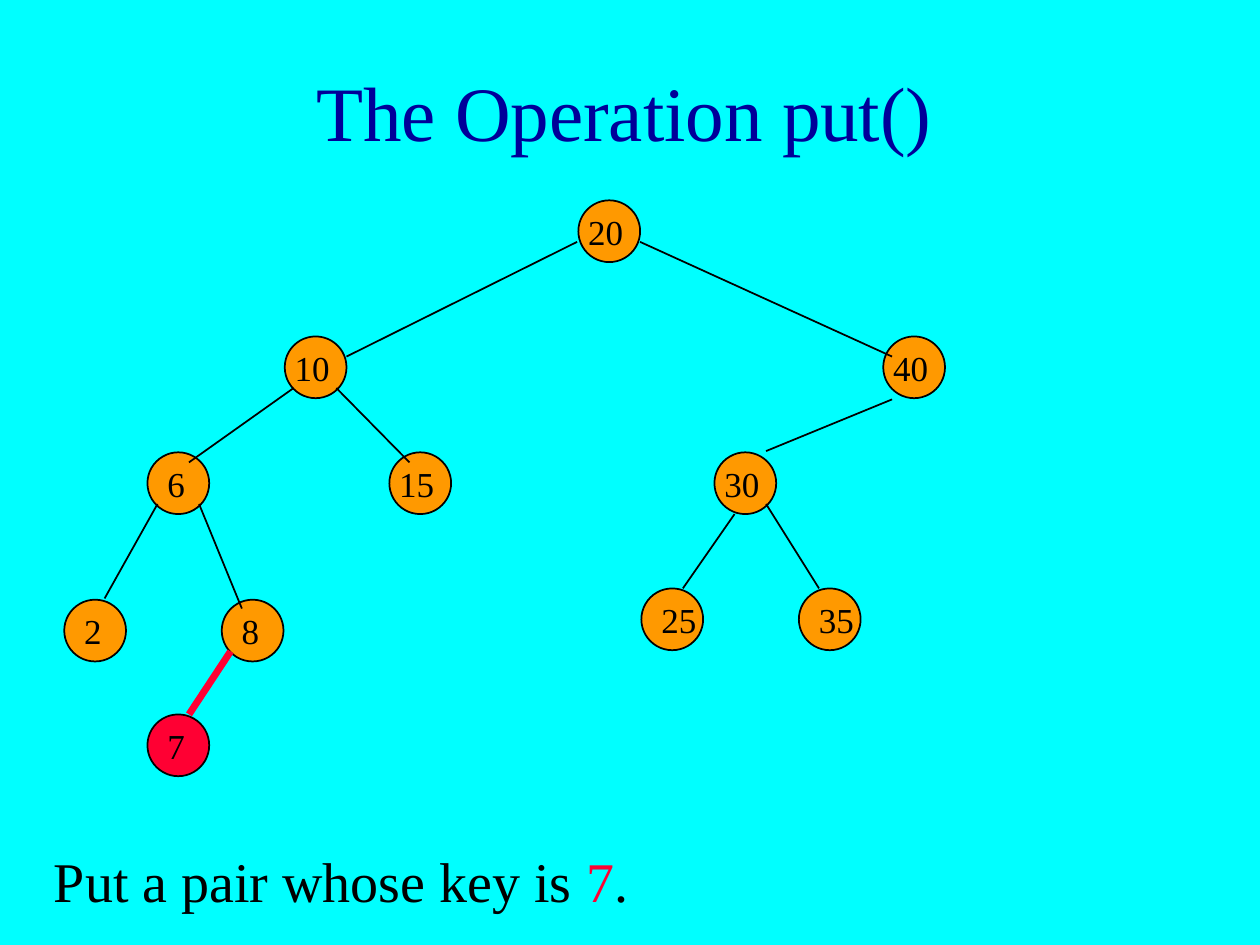
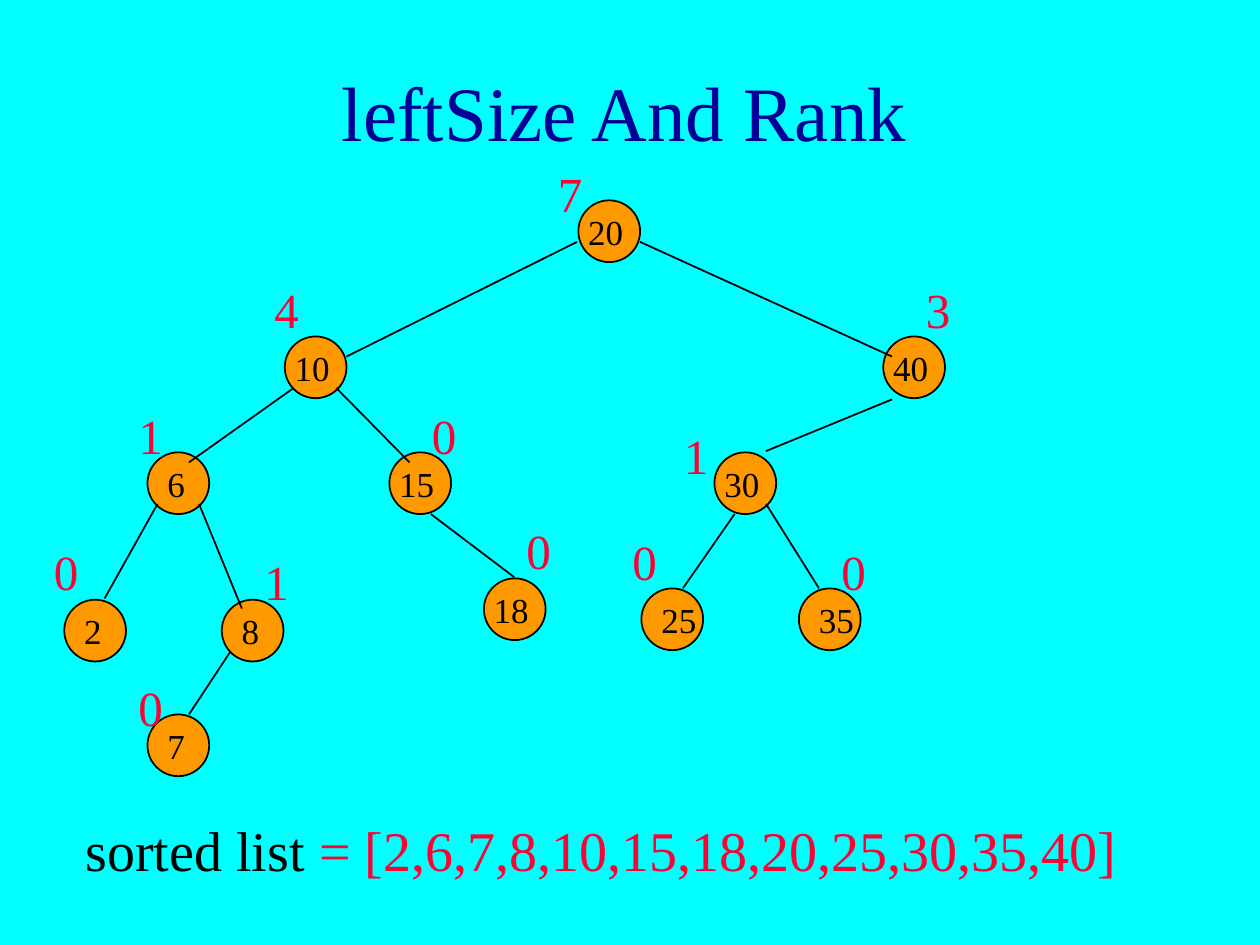
import collections

import pptx
import pptx.dml.color
import pptx.enum.shapes
import pptx.enum.text
import pptx.util
from lxml import etree

Inches, Pt = pptx.util.Inches, pptx.util.Pt
RGBColor = pptx.dml.color.RGBColor
PP_ALIGN = pptx.enum.text.PP_ALIGN
MSO_ANCHOR = pptx.enum.text.MSO_ANCHOR
MSO_AUTO_SIZE = pptx.enum.text.MSO_AUTO_SIZE
MSO_SHAPE = pptx.enum.shapes.MSO_SHAPE
MSO_CONNECTOR = pptx.enum.shapes.MSO_CONNECTOR

CYAN = RGBColor(0x00, 0xFF, 0xFF)
NAVY = RGBColor(0x00, 0x00, 0x99)
ORANGE = RGBColor(0xFF, 0x99, 0x00)
RED = RGBColor(0xFF, 0x00, 0x33)
BLACK = RGBColor(0x00, 0x00, 0x00)
FONT = "Times New Roman"
DIAMETER = 0.49
LABEL_HEIGHT = 0.43
WIDE, NARROW = 0.48, 0.34  # label widths for two digits and for one
LEFT, RIGHT = -0.02, 0.06  # label shifts from the left of the circle

# edge: line from the parent (x1, y1, x2, y2); rank: corner of the leftSize label
Node = collections.namedtuple("Node", "x y shift edge left_size rank")

TREE = {
    20: Node(4.59, 1.59, LEFT, None, 7, (4.33, 1.25)),
    10: Node(2.26, 2.67, LEFT, (4.58, 1.92, 2.75, 2.83), 4, (2.08, 2.17)),
    40: Node(7.01, 2.67, LEFT, (5.08, 1.92, 7.08, 2.83), 3, (7.25, 2.17)),
    6: Node(1.17, 3.59, RIGHT, (2.33, 3.08, 1.5, 3.67), 1, (1, 3.17)),
    15: Node(3.09, 3.59, LEFT, (2.67, 3.08, 3.25, 3.67), 0, (3.33, 3.17)),
    30: Node(5.67, 3.59, LEFT, (7.08, 3.17, 6.08, 3.58), 1, (5.33, 3.33)),
    2: Node(0.51, 4.76, RIGHT, (1.25, 4, 0.83, 4.75), 0, (0.33, 4.25)),
    8: Node(1.76, 4.76, RIGHT, (1.58, 4, 1.92, 4.83), 1, (2, 4.33)),
    25: Node(5.09, 4.67, RIGHT, (5.83, 4.08, 5.42, 4.67), 0, (4.92, 4.17)),
    35: Node(6.34, 4.67, RIGHT, (6.08, 4, 6.5, 4.67), 0, (6.58, 4.25)),
    7: Node(1.17, 5.67, RIGHT, (1.83, 5.17, 1.5, 5.67), 0, (1, 5.33)),
    18: Node(3.84, 4.59, LEFT, (3.42, 4.08, 4.08, 4.58), 0, (4.08, 4.08)),
}


def add_run(p, text, size=20, color=BLACK):
    r = p.add_run()
    r.text = text
    r.font.name = FONT
    r.font.size = Pt(size)
    r.font.color.rgb = color


class Deck:
    """Holds the presentation, its shared style and the current slide."""

    def __init__(self):
        self.prs = pptx.Presentation()
        self.prs.slide_width = Inches(10)
        self.prs.slide_height = Inches(7.5)
        fill = self.prs.slide_master.background.fill
        fill.solid()
        fill.fore_color.rgb = CYAN
        self.s = None

    def new_slide(self, title):
        self.s = self.prs.slides.add_slide(self.prs.slide_layouts[5])
        sp = self.s.shapes.title
        sp.left, sp.top = Inches(0.08), Inches(0.25)
        sp.width, sp.height = Inches(9.75), Inches(1.25)
        tf = sp.text_frame
        tf.vertical_anchor = MSO_ANCHOR.MIDDLE
        tf.auto_size = MSO_AUTO_SIZE.NONE
        p = tf.paragraphs[0]
        p.alignment = PP_ALIGN.CENTER
        add_run(p, title, size=44, color=NAVY)

    def text(self, x, y, w, h, *runs, size=20, wrap=True, before=0):
        """Add a text box; each run is a (text, colour) pair."""
        sp = self.s.shapes.add_textbox(Inches(x), Inches(y), Inches(w), Inches(h))
        tf = sp.text_frame
        tf.word_wrap = wrap
        tf.auto_size = MSO_AUTO_SIZE.SHAPE_TO_FIT_TEXT
        p = tf.paragraphs[0]
        p.space_before = Pt(before)
        for text, color in runs:
            add_run(p, text, size=size, color=color)

    def circle(self, x, y, color):
        sp = self.s.shapes.add_shape(MSO_SHAPE.OVAL, Inches(x), Inches(y),
                                     Inches(DIAMETER), Inches(DIAMETER))
        sp.shadow.inherit = False
        sp.fill.solid()
        sp.fill.fore_color.rgb = color
        sp.line.color.rgb = BLACK
        sp.line.width = Pt(1)

    def edge(self, ends, color=BLACK, width=1):
        line = self.s.shapes.add_connector(MSO_CONNECTOR.STRAIGHT, *map(Inches, ends))
        line.line.color.rgb = color
        line.line.width = Pt(width)
        sp_pr = line._element.spPr
        etree.SubElement(sp_pr, pptx.oxml.ns.qn("a:effectLst"))

    def tree(self, keys, new_key=None):
        """Draw circles, then edges, then keys; new_key stands out in red."""
        for key in keys:
            node = TREE[key]
            self.circle(node.x, node.y, RED if key == new_key else ORANGE)
        for key in keys:
            if key == new_key:
                self.edge(TREE[key].edge, color=RED, width=4)
            elif TREE[key].edge:
                self.edge(TREE[key].edge)
        for key in keys:
            node = TREE[key]
            self.text(node.x + node.shift, node.y + 0.03,
                      WIDE if key > 9 else NARROW, LABEL_HEIGHT,
                      (str(key), BLACK), wrap=False)

    def left_sizes(self, keys):
        for key in keys:
            self.text(*TREE[key].rank, 0.25, 0.57, (str(TREE[key].left_size), RED),
                      size=28, before=17.5)

    def caption(self, x, y, w, *runs):
        self.text(x, y, w, 0.63, *runs, size=32, before=20)


def main():
    deck = Deck()

    deck.new_slide("The Operation put()")
    deck.caption(0.33, 6.67, 9, ("Put a pair whose key is ", BLACK), ("7", RED), (".", BLACK))
    deck.tree([key for key in TREE if key != 18], new_key=7)

    deck.new_slide("leftSize And Rank")
    deck.tree(TREE)
    deck.left_sizes(TREE)
    sorted_keys = ",".join(map(str, sorted(TREE)))
    deck.caption(0.58, 6.42, 9.08, ("sorted list", BLACK), (f" = [{sorted_keys}]", RED))

    deck.prs.save("out.pptx")


if __name__ == "__main__":
    main()
